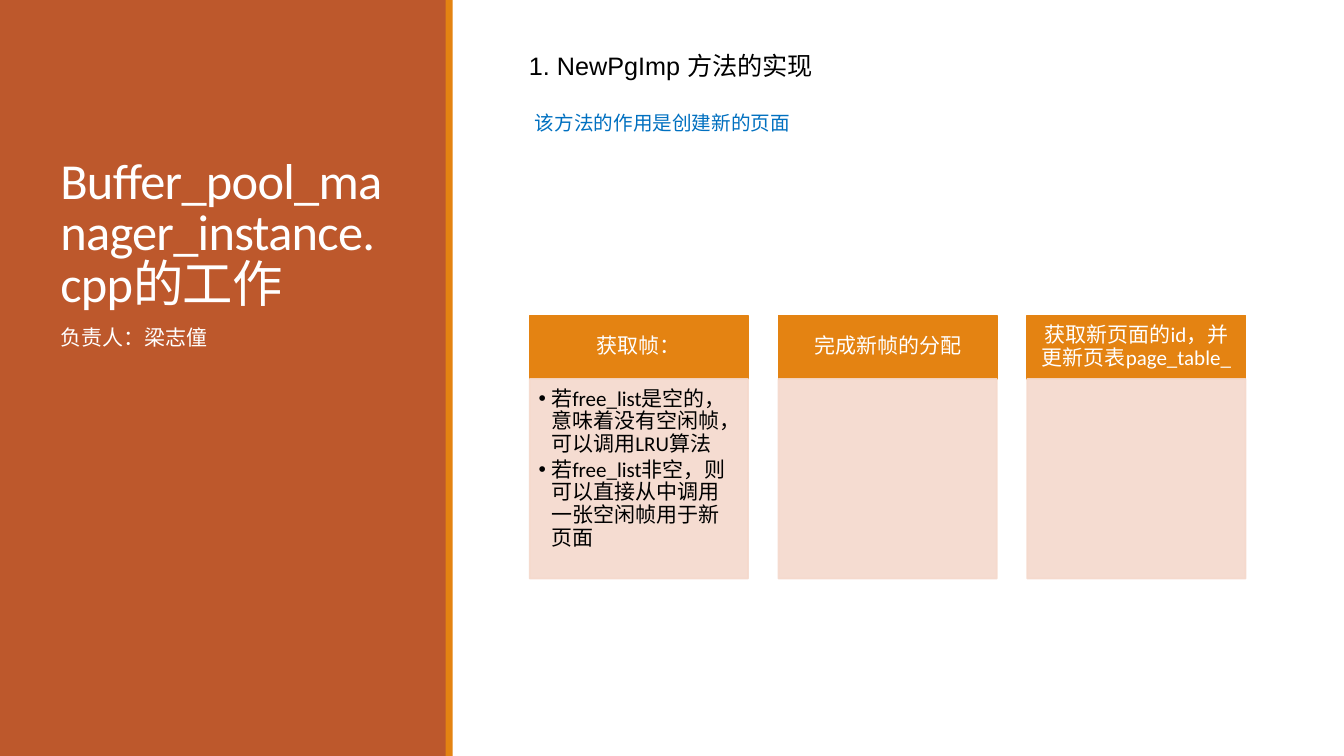
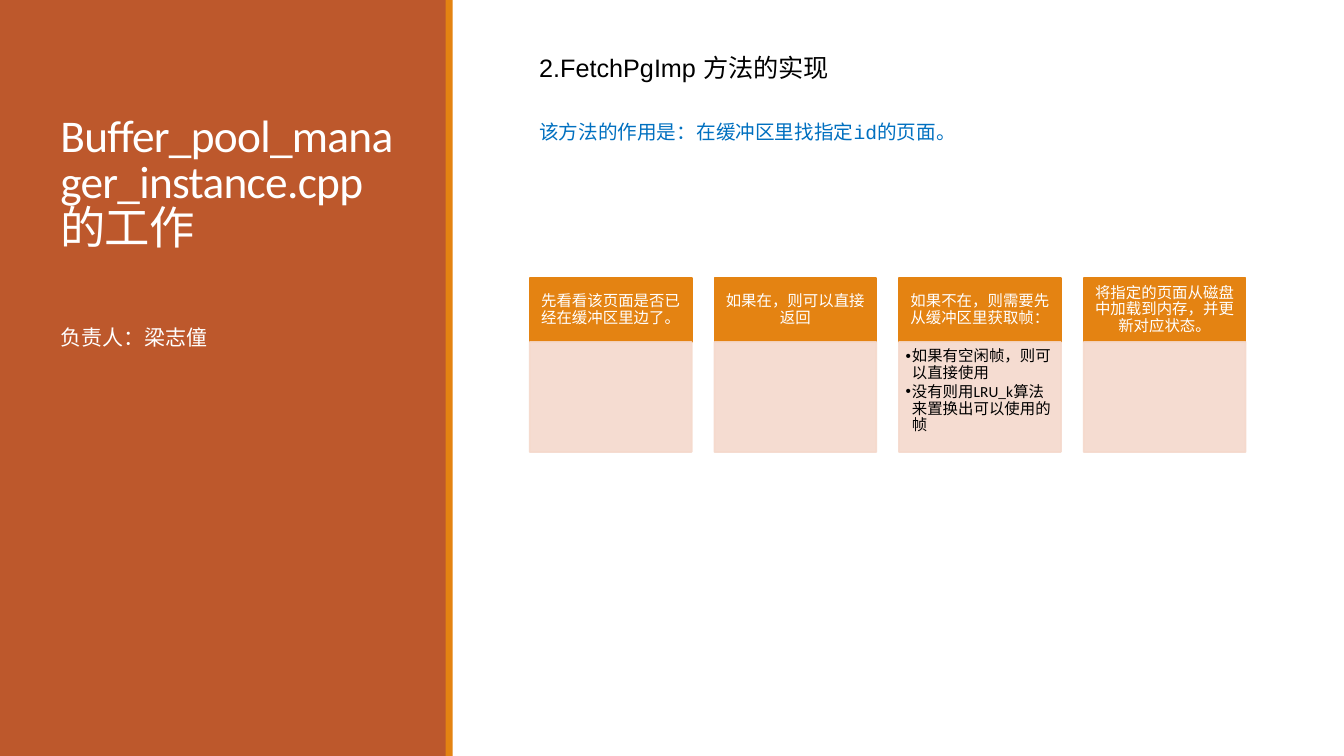
from lxml import etree
from pptx import Presentation
from pptx.dml import color
from pptx.enum import shapes, text
from pptx.oxml import ns
from pptx.util import Cm, Pt

COLORS = {
    "panel": "BD582C",
    "accent": "E48312",
    "card": "F5D9CC",
    "white": "FFFFFF",
    "black": "000000",
    "blue": "0070C0",
}
TITLE = "Buffer_pool_manager_instance.cpp的工作"
OWNER = "负责人：梁志僮"
CARDS_LEFT, CARDS_WIDTH, GAP_RATIO = 13.35, 18.04, 0.14


def rgb(name):
    """Return the palette colour called name."""
    return color.RGBColor.from_string(COLORS[name])


def add_xml(parent, tag, **attributes):
    """Append a DrawingML element to parent."""
    return etree.SubElement(parent, ns.qn(tag), **attributes)


def write_text(frame, paragraphs, size, ink, font="Calibri", align=text.PP_ALIGN.LEFT,
               anchor=text.MSO_ANCHOR.TOP, line_spacing=1.0, gap=0, insets=None,
               bullet_indent=None, tracking=None):
    """Fill frame with paragraphs, each a string or a list of (string, font) spans."""
    frame.word_wrap = True
    frame.auto_size = text.MSO_AUTO_SIZE.NONE
    frame.vertical_anchor = anchor
    left, top, right, bottom = insets or (0.25, 0.13, 0.25, 0.13)
    frame.margin_left, frame.margin_top = Cm(left), Cm(top)
    frame.margin_right, frame.margin_bottom = Cm(right), Cm(bottom)
    for index, content in enumerate(paragraphs):
        para = frame.paragraphs[0] if index == 0 else frame.add_paragraph()
        properties = para._p.get_or_add_pPr()
        indent = Cm(bullet_indent or 0)
        properties.set("marL", str(indent))
        properties.set("indent", str(-indent))
        if bullet_indent:
            add_xml(properties, "a:buFont", typeface="Arial")
            add_xml(properties, "a:buChar", char="•")
        else:
            add_xml(properties, "a:buNone")
        para.alignment = align
        para.line_spacing = line_spacing
        para.space_before = Pt(0)
        para.space_after = Pt(gap)
        spans = [(content, font)] if isinstance(content, str) else content
        for words, typeface in spans:
            span = para.add_run()
            span.text = words
            span.font.name = typeface
            span.font.size = Pt(size)
            span.font.color.rgb = rgb(ink)
            if tracking is not None:
                span._r.get_or_add_rPr().set("spc", str(tracking))


def place(box, left, top, width, height):
    """Move and size a box, in centimetres."""
    box.left, box.top, box.width, box.height = map(Cm, (left, top, width, height))


def add_rectangle(page, left, top, width, height, fill, outlined=False, alpha=None):
    """Add a flat rectangle, optionally outlined and see-through."""
    box = page.shapes.add_shape(shapes.MSO_SHAPE.RECTANGLE,
                                *map(Cm, (left, top, width, height)))
    box.shadow.inherit = False
    box.fill.solid()
    box.fill.fore_color.rgb = rgb(fill)
    if outlined:
        box.line.color.rgb = rgb(fill)
        box.line.width = Pt(1.25)
    else:
        box.line.fill.background()
    if alpha:
        for shade in box.element.spPr.iter(ns.qn("a:srgbClr")):
            add_xml(shade, "a:alpha", val=str(alpha * 1000))
    return box


def add_side_bands(page):
    """Put the side panel and its accent stripe on the layout of page."""
    bands = [(0, 11.25, "panel"), (11.23, 0.18, "accent")]
    for index, (left, width, fill) in enumerate(bands):
        band = add_rectangle(page, left, 0, width, 19.05, fill).element
        band.nvSpPr.cNvPr.set("id", str(100 + index))
        page.slide_layout.shapes.element.insert(2 + index, band)


def add_page(deck, title_height, title_size):
    """Add a page with the shared title and owner in the side panel."""
    page = deck.slides.add_slide(deck.slide_layouts[1])
    title, owner = page.shapes.title, page.placeholders[1]
    place(title, 1.27, 1.65, 8.89, title_height)
    write_text(title.text_frame, [TITLE], title_size, "white", line_spacing=0.85,
               anchor=text.MSO_ANCHOR.BOTTOM, tracking=-50)
    place(owner, 1.27, 8.13, 8.89, 9.4)
    write_text(owner.text_frame, [OWNER], 15, "white", line_spacing=0.9)
    return page


def add_label(page, left, top, width, height, content, **style):
    """Add a text box holding one paragraph."""
    box = page.shapes.add_textbox(*map(Cm, (left, top, width, height)))
    write_text(box.text_frame, [content], **style)


def add_cards(page, cards, top, head_height, body_height, size, bullet_indent):
    """Spread (heading, bullets) cards evenly over the content area."""
    width = CARDS_WIDTH / (len(cards) + GAP_RATIO * (len(cards) - 1))
    for index, (heading, bullets) in enumerate(cards):
        left = CARDS_LEFT + index * width * (1 + GAP_RATIO)
        head = add_rectangle(page, left, top, width, head_height, "accent", outlined=True)
        side, edge = size * 0.02, size * 0.01
        write_text(head.text_frame, [heading], size, "white", line_spacing=0.9,
                   align=text.PP_ALIGN.CENTER, anchor=text.MSO_ANCHOR.MIDDLE,
                   insets=(side, edge, side, edge))
        body = add_rectangle(page, left, top + head_height, width, body_height,
                             "card", outlined=True, alpha=90)
        if bullets:
            write_text(body.text_frame, bullets, size, "black", line_spacing=0.9,
                       gap=round(size * 0.15, 1), bullet_indent=bullet_indent,
                       insets=(size * 0.015, size * 0.015, side, size * 0.022))


def build_new_page(deck):
    """Build the page on creating a new page."""
    page = add_page(deck, 6.35, 36)
    add_side_bands(page)
    add_cards(page, [
        ("获取帧：", ["若free_list是空的，意味着没有空闲帧，可以调用LRU算法",
                  "若free_list非空，则可以直接从中调用一张空闲帧用于新页面"]),
        ("完成新帧的分配", []),
        ("获取新页面的id，并更新页表page_table_", []),
    ], top=7.95, head_height=1.6, body_height=5.03, size=15, bullet_indent=0.32)
    add_label(page, 13.08, 1.14, 18.31, 1.02, "1. NewPgImp 方法的实现",
              size=18, ink="black", font="Arial")
    add_label(page, 13.23, 2.67, 18.16, 0.86, "该方法的作用是创建新的页面",
              size=14, ink="blue")


def build_fetch_page(deck):
    """Build the page on fetching a given page."""
    page = add_page(deck, 4.88, 32.4)
    add_cards(page, [
        ("先看看该页面是否已经在缓冲区里边了。", []),
        ("如果在，则可以直接返回", []),
        ("如果不在，则需要先从缓冲区里获取帧：",
         ["如果有空闲帧，则可以直接使用", "没有则用LRU_k算法来置换出可以使用的帧"]),
        ("将指定的页面从磁盘中加载到内存，并更新对应状态。", []),
    ], top=7.0, head_height=1.62, body_height=2.77, size=11, bullet_indent=0.16)
    add_label(page, 13.34, 1.19, 18.03, 1.8, "2.FetchPgImp 方法的实现",
              size=18, ink="black", font="Arial")
    add_label(page, 13.34, 2.9, 18.03, 1.63,
              [("该方法的作用是：", "Calibri"),
               ("在缓冲区里找指定id的页面。", "Courier New")],
              size=14, ink="blue")


def main():
    """Build and save the deck."""
    deck = Presentation()
    deck.slide_width, deck.slide_height = Cm(33.87), Cm(19.05)
    build_new_page(deck)
    build_fetch_page(deck)
    deck.save("out.pptx")


if __name__ == "__main__":
    main()
